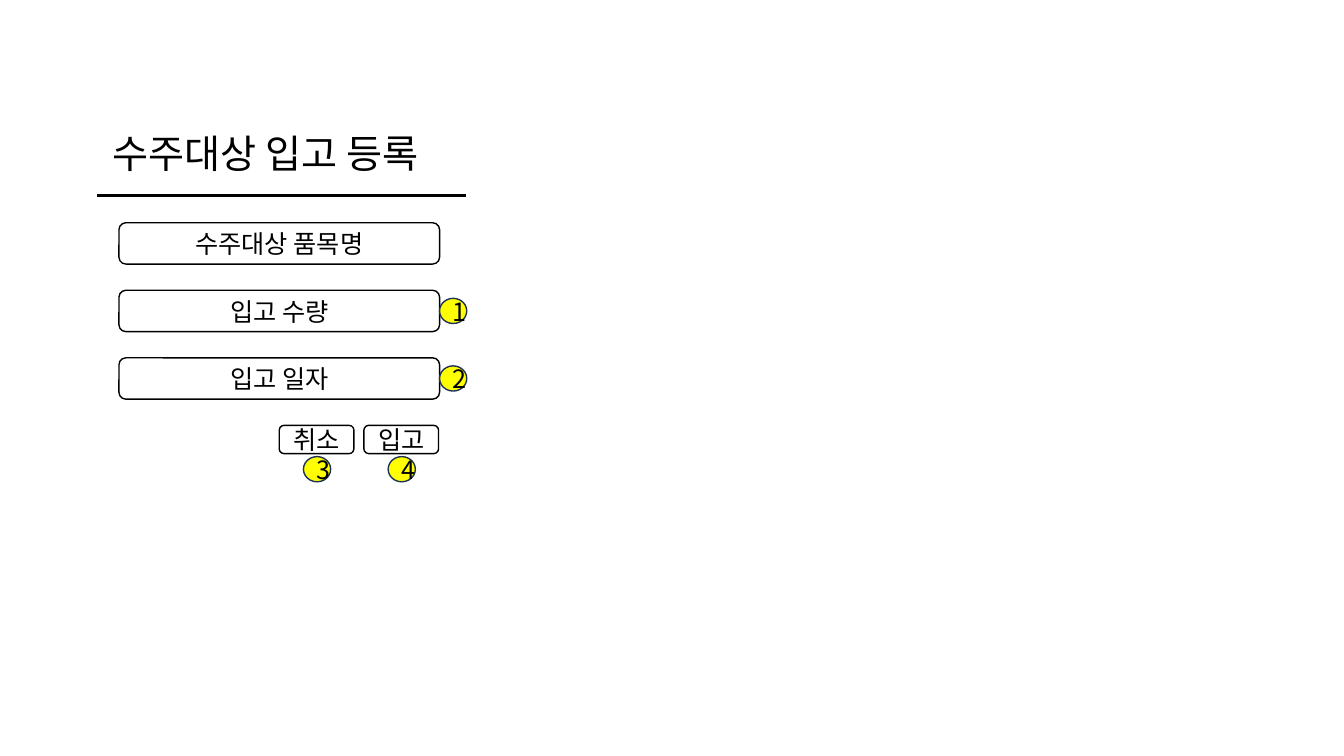
from dataclasses import dataclass

from pptx import Presentation
from pptx.dml.color import RGBColor
from pptx.enum.shapes import MSO_CONNECTOR, MSO_SHAPE
from pptx.enum.text import MSO_ANCHOR as Anchor
from pptx.enum.text import MSO_AUTO_SIZE as AutoSize
from pptx.enum.text import PP_ALIGN as Align
from pptx.oxml.ns import qn
from pptx.slide import Slide
from pptx.text.text import TextFrame
from pptx.util import Pt
from lxml.etree import SubElement

PX = 9144
FONT = "Noto Sans CJK KR"
BLACK = RGBColor(0x00, 0x00, 0x00)
WHITE = RGBColor(0xFF, 0xFF, 0xFF)
YELLOW = RGBColor(0xFF, 0xFF, 0x00)
NAVY = RGBColor(0x1E, 0x32, 0x56)

FIELD_X, FIELD_Y, FIELD_W, FIELD_H, FIELD_PITCH = 118, 221, 318, 41, 67
BUTTON_X, BUTTON_Y, BUTTON_W, BUTTON_H, BUTTON_PITCH = 277, 422, 74, 28, 84
BADGE_W, BADGE_H = 27, 25


@dataclass(frozen=True)
class Control:
    label: str
    badge: str = ""


FIELDS = [Control("수주대상 품목명"), Control("입고 수량", "1"), Control("입고 일자", "2")]
BUTTONS = [Control("취소", "3"), Control("입고", "4")]


def write(tf: TextFrame, text: str, *, size: int = 18, align: Align = Align.CENTER,
          anchor: Anchor = Anchor.MIDDLE) -> None:
    tf.word_wrap = True
    tf.vertical_anchor = anchor
    p = tf.paragraphs[0]
    p.alignment = align
    r = p.add_run()
    r.text = text
    r.font.size = Pt(size)
    r.font.name = FONT
    r.font.color.rgb = BLACK
    SubElement(r.font._element, qn("a:ea"), typeface=FONT)


def add_box(s: Slide, kind: MSO_SHAPE, text: str, x: int, y: int, w: int, h: int,
            fill: RGBColor = WHITE, line: RGBColor = BLACK) -> None:
    sp = s.shapes.add_shape(kind, x * PX, y * PX, w * PX, h * PX)
    sp.shadow.inherit = False
    sp.fill.solid()
    sp.fill.fore_color.rgb = fill
    sp.line.color.rgb = line
    sp.line.width = Pt(1)
    write(sp.text_frame, text)


def add_badge(s: Slide, text: str, x: int, y: int) -> None:
    add_box(s, MSO_SHAPE.OVAL, text, x, y, BADGE_W, BADGE_H, YELLOW, NAVY)


def add_title(s: Slide, text: str) -> None:
    sp = s.shapes.title
    sp.left, sp.top, sp.width, sp.height = 102 * PX, 123 * PX, 760 * PX, 57 * PX
    sp.text_frame.auto_size = AutoSize.SHAPE_TO_FIT_TEXT
    write(sp.text_frame, text, size=28, align=Align.LEFT, anchor=Anchor.TOP)


def add_rule(s: Slide, x1: int, x2: int, y: int) -> None:
    sp = s.shapes.add_connector(MSO_CONNECTOR.STRAIGHT, x1 * PX, y * PX, x2 * PX, y * PX)
    sp.line.color.rgb = BLACK
    sp.line.width = Pt(1.5)
    SubElement(sp._element.spPr, qn("a:effectLst"))


def main() -> None:
    prs = Presentation()
    prs.slide_width, prs.slide_height = 1333 * PX, 750 * PX
    s = prs.slides.add_slide(prs.slide_layouts[5])
    add_title(s, "수주대상 입고 등록")
    add_rule(s, 96, 462, 194)

    for i, field in enumerate(FIELDS):
        y = FIELD_Y + i * FIELD_PITCH
        add_box(s, MSO_SHAPE.ROUNDED_RECTANGLE, field.label, FIELD_X, y, FIELD_W, FIELD_H)
        if field.badge:
            add_badge(s, field.badge, FIELD_X + FIELD_W, y + (FIELD_H - BADGE_H) // 2)

    for i, button in enumerate(BUTTONS):
        x = BUTTON_X + i * BUTTON_PITCH
        add_box(s, MSO_SHAPE.ROUNDED_RECTANGLE, button.label, x, BUTTON_Y, BUTTON_W, BUTTON_H)
        add_badge(s, button.badge, x + (BUTTON_W - BADGE_W + 1) // 2, BUTTON_Y + BUTTON_H + 3)

    prs.save("out.pptx")


if __name__ == "__main__":
    main()
